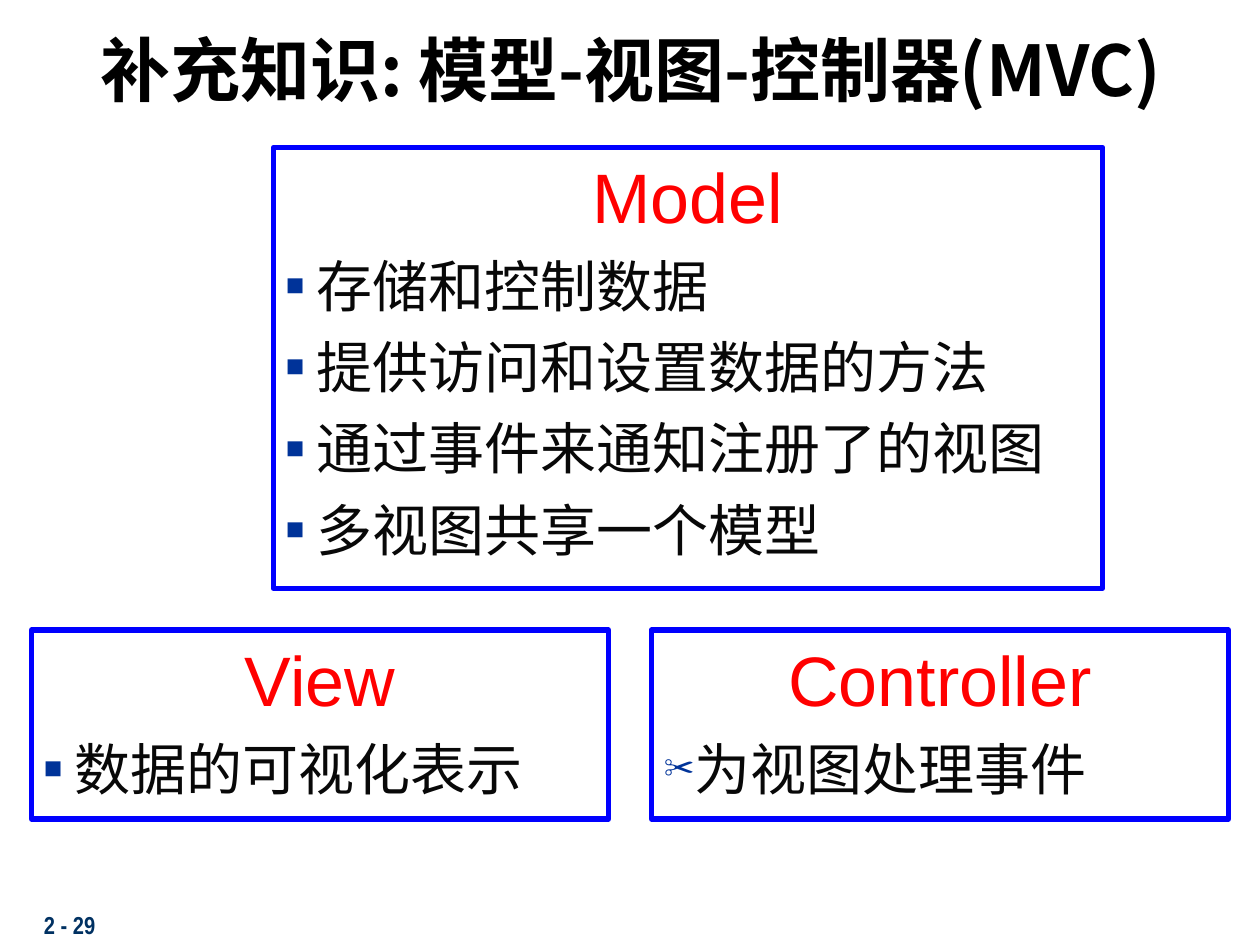
"""Build the slide on the model-view-controller pattern."""
from lxml import etree
from pptx import Presentation
from pptx.dml.color import RGBColor
from pptx.enum.shapes import MSO_SHAPE
from pptx.enum.text import MSO_ANCHOR, PP_ALIGN
from pptx.oxml.ns import qn
from pptx.util import Inches, Pt


def color(value):
    """Turn a hex string into a colour."""
    return RGBColor.from_string(value)


def write(paragraph, text, style):
    """Add a run whose Latin and East Asian text follow the style."""
    run = paragraph.add_run()
    run.text = text
    for name in ("name", "size", "bold"):
        setattr(run.font, name, style[name])
    run.font.color.rgb = color(style["color"])
    east_asian = etree.SubElement(run.font._element, qn("a:ea"))
    east_asian.set("typeface", "Noto Sans CJK SC")


TITLE = {"name": "Noto Sans CJK SC", "size": Pt(40), "bold": True, "color": "000000"}
HEADING = {"name": "Arial", "size": Pt(40), "bold": False, "color": "FF0000"}
POINT = {"name": "Times New Roman", "size": Pt(32), "bold": False, "color": "080808"}
NUMBER = {"name": "Arial Narrow", "size": Pt(14), "bold": True, "color": "003162"}

PARTS = [
    ("Model", (2.17, 1.17, 6.58, 3.5), "■",
     ["存储和控制数据", "提供访问和设置数据的方法", "通过事件来通知注册了的视图", "多视图共享一个模型"]),
    ("View", (0.25, 5, 4.58, 1.5), "■", ["数据的可视化表示"]),
    ("Controller", (5.17, 5, 4.58, 1.5), "✂", ["为视图处理事件"]),
]

presentation = Presentation()
presentation.slide_width, presentation.slide_height = Inches(10), Inches(7.5)
slide = presentation.slides.add_slide(presentation.slide_layouts[5])

title = slide.shapes.title
title.left, title.top, title.width, title.height = map(Inches, (0.17, 0.17, 9.67, 0.75))
title.text_frame.vertical_anchor = MSO_ANCHOR.MIDDLE
write(title.text_frame.paragraphs[0], "补充知识: 模型-视图-控制器(MVC)", TITLE)

for heading, place, bullet, points in PARTS:
    box = slide.shapes.add_shape(MSO_SHAPE.RECTANGLE, *map(Inches, place))
    box.shadow.inherit = False
    box.fill.background()
    box.line.color.rgb = color("0000FF")
    box.line.width = Pt(3)
    frame = box.text_frame
    frame.word_wrap = True
    frame.vertical_anchor = MSO_ANCHOR.TOP
    frame.paragraphs[0].alignment = PP_ALIGN.CENTER
    write(frame.paragraphs[0], heading, HEADING)
    for point in points:
        paragraph = frame.add_paragraph()
        paragraph.alignment = PP_ALIGN.LEFT
        paragraph.space_before = Pt(8)
        properties = paragraph._p.get_or_add_pPr()
        properties.set("marL", str(Inches(0.24)))
        properties.set("indent", str(-Inches(0.24)))
        bullet_color = etree.SubElement(properties, qn("a:buClr"))
        etree.SubElement(bullet_color, qn("a:srgbClr")).set("val", "003399")
        etree.SubElement(properties, qn("a:buSzPct")).set("val", "55000")
        etree.SubElement(properties, qn("a:buFont")).set("typeface", "Arial")
        etree.SubElement(properties, qn("a:buChar")).set("char", bullet)
        write(paragraph, point, POINT)

number = slide.shapes.add_textbox(*map(Inches, (0.25, 7.17, 2.08, 0.33)))
number.text_frame.word_wrap = True
write(number.text_frame.paragraphs[0], "2 - 29", NUMBER)

presentation.save("out.pptx")
